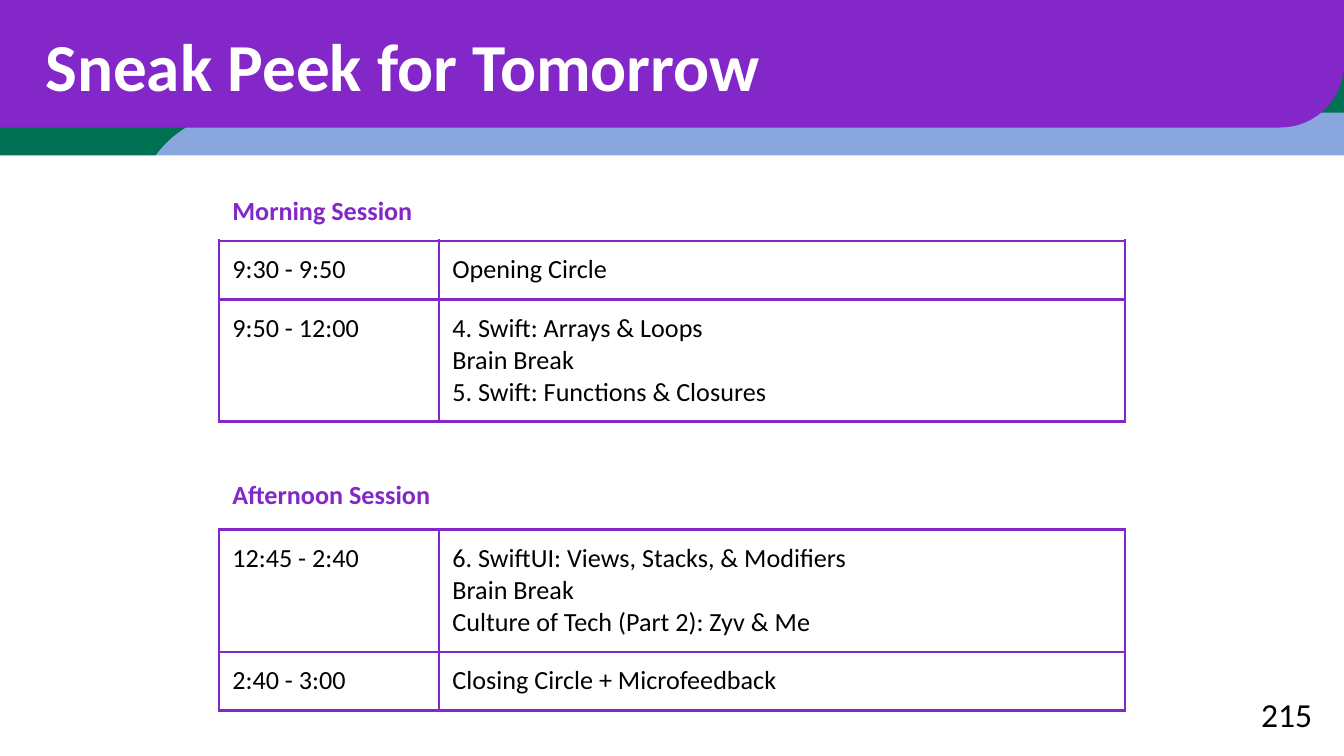
"""Build the schedule slide with a curved banner and two session tables."""
from lxml.etree import SubElement
from pptx import Presentation
from pptx.dml.color import RGBColor
from pptx.enum.shapes import MSO_SHAPE
from pptx.enum.text import MSO_ANCHOR, PP_ALIGN
from pptx.oxml.ns import qn
from pptx.util import Cm, Pt

PURPLE, BLUE, GREEN = "8427C9", "8AA6DF", "007052"
WHITE, BLACK = "FFFFFF", "000000"
INSET = 0.25
MARGINS = ("margin_left", "margin_top", "margin_right", "margin_bottom")
MORNING = [
    ("9:30 - 9:50", ["Opening Circle"]),
    ("9:50 - 12:00", ["4. Swift: Arrays & Loops", "Brain Break",
                      "5. Swift: Functions & Closures"]),
]
AFTERNOON = [
    ("12:45 - 2:40", ["6. SwiftUI: Views, Stacks, & Modifiers", "Brain Break",
                      "Culture of Tech (Part 2): Zyv & Me"]),
    ("2:40 - 3:00", ["Closing Circle + Microfeedback"]),
]


def color(value):
    """Turn a hex string into a colour."""
    return RGBColor.from_string(value)


class Deck:
    """Hold the style and the current slide."""

    font = "Calibri"
    columns = (4.16, 12.96)
    line_height, row_padding = 0.6, 0.51

    def __init__(self, prs):
        """Add a blank slide with the deck background."""
        self.s = prs.slides.add_slide(prs.slide_layouts[6])
        fill = self.s.background.fill
        fill.solid()
        fill.fore_color.rgb = color(GREEN)

    def panel(self, left, top, width, height, fill, round_by, rotation=0):
        """Add a mirrored panel with one rounded corner."""
        sp = self.s.shapes.add_shape(MSO_SHAPE.ROUND_1_RECTANGLE, Cm(left), Cm(top),
                                     Cm(width), Cm(height))
        sp.adjustments[0] = round_by
        sp.rotation = rotation
        sp._element.spPr.get_or_add_xfrm().set("flipH", "1")
        sp.shadow.inherit = False
        sp.fill.solid()
        sp.fill.fore_color.rgb = color(fill)
        sp.line.fill.background()

    def paragraphs(self, tf, lines, size, ink, bold=False, align=PP_ALIGN.LEFT):
        """Fill a text frame with one paragraph per line."""
        for i, line in enumerate(lines):
            p = tf.add_paragraph() if i else tf.paragraphs[0]
            p.alignment = align
            r = p.add_run()
            r.text = line
            for name, value in {"name": self.font, "size": Pt(size), "bold": bold}.items():
                setattr(r.font, name, value)
            r.font.color.rgb = color(ink)

    def text(self, left, top, width, height, line, size, ink, **style):
        """Add a vertically centred text box."""
        tf = self.s.shapes.add_textbox(Cm(left), Cm(top), Cm(width), Cm(height)).text_frame
        frame = {"word_wrap": True, "vertical_anchor": MSO_ANCHOR.MIDDLE}
        for name, value in {**frame, **dict.fromkeys(MARGINS, Cm(INSET))}.items():
            setattr(tf, name, value)
        self.paragraphs(tf, [line], size, ink, **style)

    def cell(self, cell, lines, ink, sides, bold=False):
        """Style a table cell, drawing borders on the given sides only."""
        for name in MARGINS:
            setattr(cell, name, Cm(INSET))
        tc_pr = cell._tc.get_or_add_tcPr()
        for side in "LRTB":
            ln = SubElement(tc_pr, qn(f"a:ln{side}"), w=str(Pt(1.5)))
            if side in sides:
                SubElement(SubElement(ln, qn("a:solidFill")), qn("a:srgbClr"), val=PURPLE)
            else:
                SubElement(ln, qn("a:noFill"))
        cell.fill.background()
        self.paragraphs(cell.text_frame, lines, 14, ink, bold)

    def session(self, top, heading, heading_height, rows):
        """Add a session table under a merged heading row."""
        heights = [heading_height] + [self.row_padding + self.line_height * len(items)
                                      for _, items in rows]
        table = self.s.shapes.add_table(len(heights), 2, Cm(4.14), Cm(top),
                                        Cm(sum(self.columns)), Cm(sum(heights))).table
        for column, width in zip(table.columns, self.columns):
            column.width = Cm(width)
        for row, height in zip(table.rows, heights):
            row.height = Cm(height)
        table.cell(0, 0).merge(table.cell(0, 1))
        self.cell(table.cell(0, 0), [heading], PURPLE, "B", bold=True)
        self.cell(table.cell(0, 1), [], PURPLE, "B")
        for i, (time, items) in enumerate(rows, 1):
            self.cell(table.cell(i, 0), [time], BLACK, "LRTB")
            self.cell(table.cell(i, 1), items, BLACK, "LRTB")


def main():
    """Build and save the slide."""
    prs = Presentation()
    prs.slide_width, prs.slide_height = Cm(25.4), Cm(14.29)
    deck = Deck(prs)
    deck.panel(2.57, 2.13, 22.83, 11.53, BLUE, 0.17)
    deck.panel(0, 2.94, 25.4, 11.35, WHITE, 0)
    deck.panel(-0.08, 0, 25.48, 2.41, PURPLE, 0.5, rotation=180)
    deck.text(23.09, 12.95, 1.96, 1.09, "215", 18, BLACK, align=PP_ALIGN.RIGHT)
    deck.text(0.61, 0.2, 21.51, 2.06, "Sneak Peek for Tomorrow", 36, WHITE, bold=True)
    deck.session(3.45, "Morning Session", 1.1, MORNING)
    deck.session(8.82, "Afternoon Session", 1.19, AFTERNOON)
    prs.save("out.pptx")


if __name__ == "__main__":
    main()
